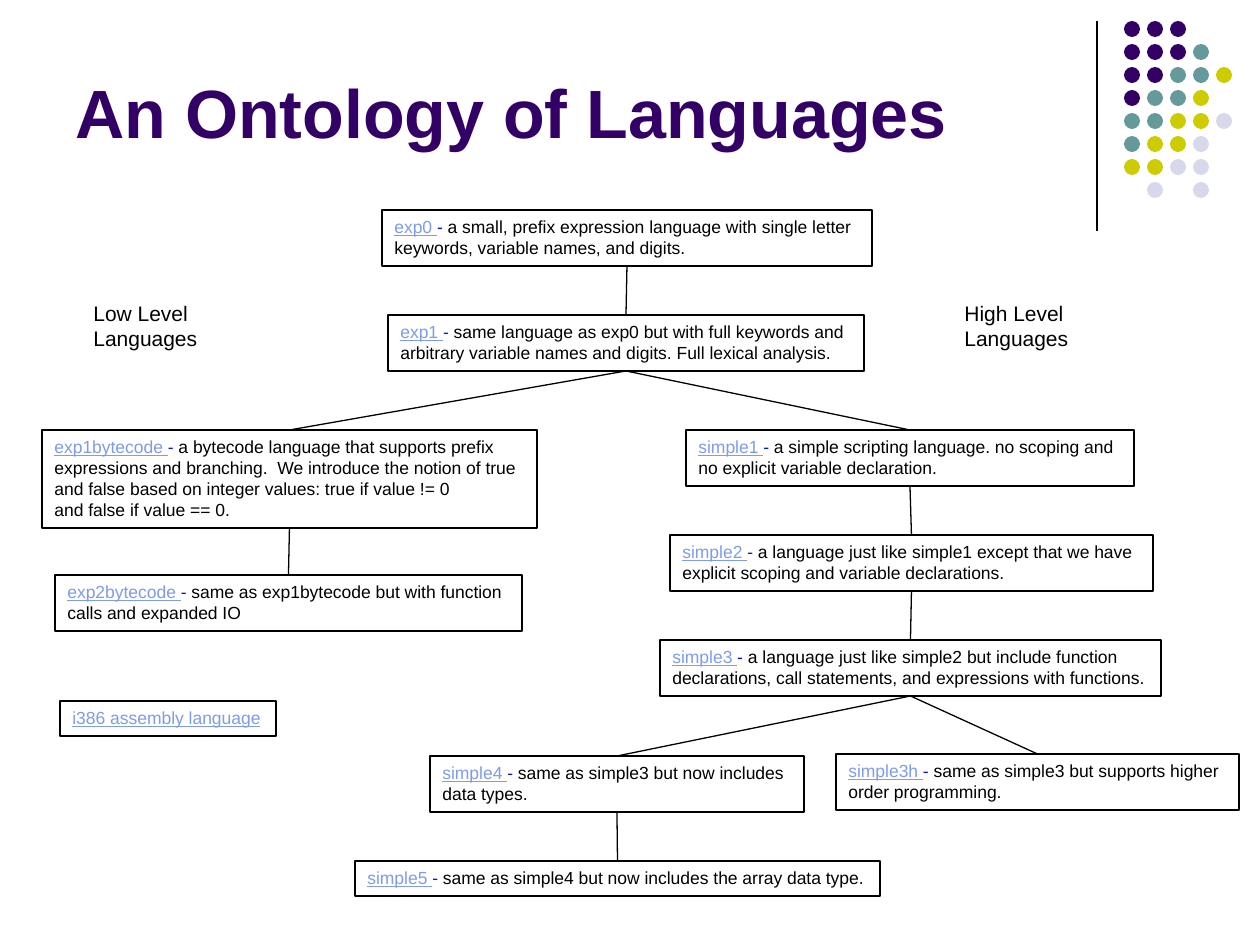
from lxml import etree
from pptx import Presentation
from pptx.dml.color import RGBColor
from pptx.enum.shapes import MSO_CONNECTOR, MSO_SHAPE
from pptx.enum.text import MSO_ANCHOR, MSO_AUTO_SIZE, PP_ALIGN
from pptx.oxml.ns import qn
from pptx.util import Emu, Pt

RECTANGLE, ELLIPSE = MSO_SHAPE.RECTANGLE, MSO_SHAPE.OVAL
STRAIGHT = MSO_CONNECTOR.STRAIGHT
LEFT = PP_ALIGN.LEFT
TOP, BOTTOM = MSO_ANCHOR.TOP, MSO_ANCHOR.BOTTOM
GROW, FIXED = MSO_AUTO_SIZE.SHAPE_TO_FIT_TEXT, MSO_AUTO_SIZE.NONE
TOP_SITE, BOTTOM_SITE = 0, 2
EMU_PER_PIXEL = 914400 / 126

COLORS = {
    "black": "000000",
    "purple": "330066",
    "teal": "669999",
    "olive": "CCCC00",
    "lavender": "D8D8EC",
    "link": "7E9CE8",
    "dash": "0018E1",
}
FORMATS = {
    "title": {"size": Pt(39), "bold": True},
    "label": {"size": Pt(12)},
    "link": {"size": Pt(10), "underline": True},
    "body": {"size": Pt(10)},
}
FITTED = {"word_wrap": False, "auto_size": GROW, "vertical_anchor": TOP}
TITLE_FRAME = {"word_wrap": True, "auto_size": FIXED, "vertical_anchor": BOTTOM}


def pixels(*values):
    return [Emu(round(value * EMU_PER_PIXEL)) for value in values]


def color(name):
    return RGBColor.from_string(COLORS[name])


def apply(target, values):
    for name, value in values.items():
        setattr(target, name, value)


class SlideBuilder:
    font = "Arial"
    line_width = Pt(0.75)

    def __init__(self, slide):
        self.shapes = slide.shapes

    def fill_frame(self, frame, paragraphs, frame_format):
        apply(frame, frame_format)
        for index, spans in enumerate(paragraphs):
            para = frame.add_paragraph() if index else frame.paragraphs[0]
            para.alignment = LEFT
            for text, style, tint in spans:
                for number, line in enumerate(text.split("\n")):
                    if number:
                        para.add_line_break()
                    span = para.add_run()
                    span.text = line
                    apply(span.font, {"name": self.font, **FORMATS[style]})
                    span.font.color.rgb = color(tint)

    def text(self, place, text, style, tint, frame_format=FITTED):
        box = self.shapes.add_textbox(*pixels(*place))
        self.fill_frame(box.text_frame, [[(text, style, tint)]], frame_format)

    def box(self, place, name, lines):
        box = self.shapes.add_shape(RECTANGLE, *pixels(*place))
        box.shadow.inherit = False
        box.fill.background()
        box.line.color.rgb = color("black")
        box.line.width = self.line_width
        first = [(name, "link", "link")]
        if lines:
            first = [(name + " ", "link", "link"), ("- ", "body", "dash"),
                     (lines[0], "body", "black")]
        rest = [[(line, "body", "black")] for line in lines[1:]]
        self.fill_frame(box.text_frame, [first] + rest, FITTED)
        return box

    def dot(self, left, top, size, tint):
        dot = self.shapes.add_shape(ELLIPSE, *pixels(left, top, size, size))
        dot.shadow.inherit = False
        dot.fill.solid()
        dot.fill.fore_color.rgb = color(tint)
        dot.line.fill.background()

    def line(self, left=0, top=0, right=0, bottom=0):
        line = self.shapes.add_connector(STRAIGHT, *pixels(left, top, right, bottom))
        line.line.color.rgb = color("black")
        line.line.width = self.line_width
        etree.SubElement(line._element.spPr, qn("a:effectLst"))
        return line

    def link(self, parent, child):
        line = self.line()
        line.begin_connect(parent, BOTTOM_SITE)
        line.end_connect(child, TOP_SITE)


LANGUAGES = {
    "exp0": ((382, 210, 490, 56), [
        "a small, prefix expression language with single letter \n"
        "keywords, variable names, and digits."]),
    "exp1": ((388, 315, 476, 56), [
        "same language as exp0 but with full keywords and \n"
        "arbitrary variable names and digits. Full lexical analysis."]),
    "exp1bytecode": ((42, 430, 495, 98), [
        "a bytecode language that supports prefix ",
        "expressions and branching.  We introduce the notion of true ",
        "and false based on integer values: true if value != 0 \n"
        "and false if value == 0."]),
    "exp2bytecode": ((55, 575, 467, 56), [
        "same as exp1bytecode but with function \ncalls and expanded IO"]),
    "simple1": ((686, 430, 448, 56), [
        "a simple scripting language. no scoping and \n"
        "no explicit variable declaration."]),
    "simple2": ((670, 535, 483, 56), [
        "a language just like simple1 except that we have \n"
        "explicit scoping and variable declarations."]),
    "simple3": ((660, 640, 501, 56), [
        "a language just like simple2 but include function \n"
        "declarations, call statements, and expressions with functions."]),
    "simple3h": ((836, 754, 403, 56), [
        "same as simple3 but supports higher \norder programming."]),
    "simple4": ((430, 756, 374, 56), [
        "same as simple3 but now includes \ndata types."]),
    "simple5": ((355, 861, 525, 35), [
        "same as simple4 but now includes the array data type."]),
    "i386 assembly language": ((60, 701, 216, 35), []),
}
LINKS = [
    ("exp0", "exp1"),
    ("exp1", "exp1bytecode"),
    ("exp1bytecode", "exp2bytecode"),
    ("exp1", "simple1"),
    ("simple1", "simple2"),
    ("simple2", "simple3"),
    ("simple3", "simple3h"),
    ("simple3", "simple4"),
    ("simple4", "simple5"),
]
DOT_ROWS = ["PPP", "PPPT", "PPTTO", "PTTO", "TTOOL", "TOOL", "OOLL", ".L.L"]
DOT_TINTS = {"P": "purple", "T": "teal", "O": "olive", "L": "lavender"}
DOT_LEFT, DOT_TOP, DOT_SIZE, DOT_PITCH = 1124, 21, 16, 23

deck = Presentation()
deck.slide_width, deck.slide_height = pixels(1260, 945)
page = SlideBuilder(deck.slides.add_slide(deck.slide_layouts[6]))

page.line(1097, 21, 1097, 231)
for row, letters in enumerate(DOT_ROWS):
    for column, letter in enumerate(letters):
        if letter in DOT_TINTS:
            page.dot(DOT_LEFT + column * DOT_PITCH, DOT_TOP + row * DOT_PITCH,
                     DOT_SIZE, DOT_TINTS[letter])

page.text((63, -21, 1040, 179), "An Ontology of Languages", "title", "purple", TITLE_FRAME)
boxes = {name: page.box(place, name, lines) for name, (place, lines) in LANGUAGES.items()}
for parent, child in LINKS:
    page.link(boxes[parent], boxes[child])
for left, level in ((81, "Low"), (952, "High")):
    page.text((left, 294, 130, 63), f"{level} Level\nLanguages", "label", "black")

deck.save("out.pptx")
